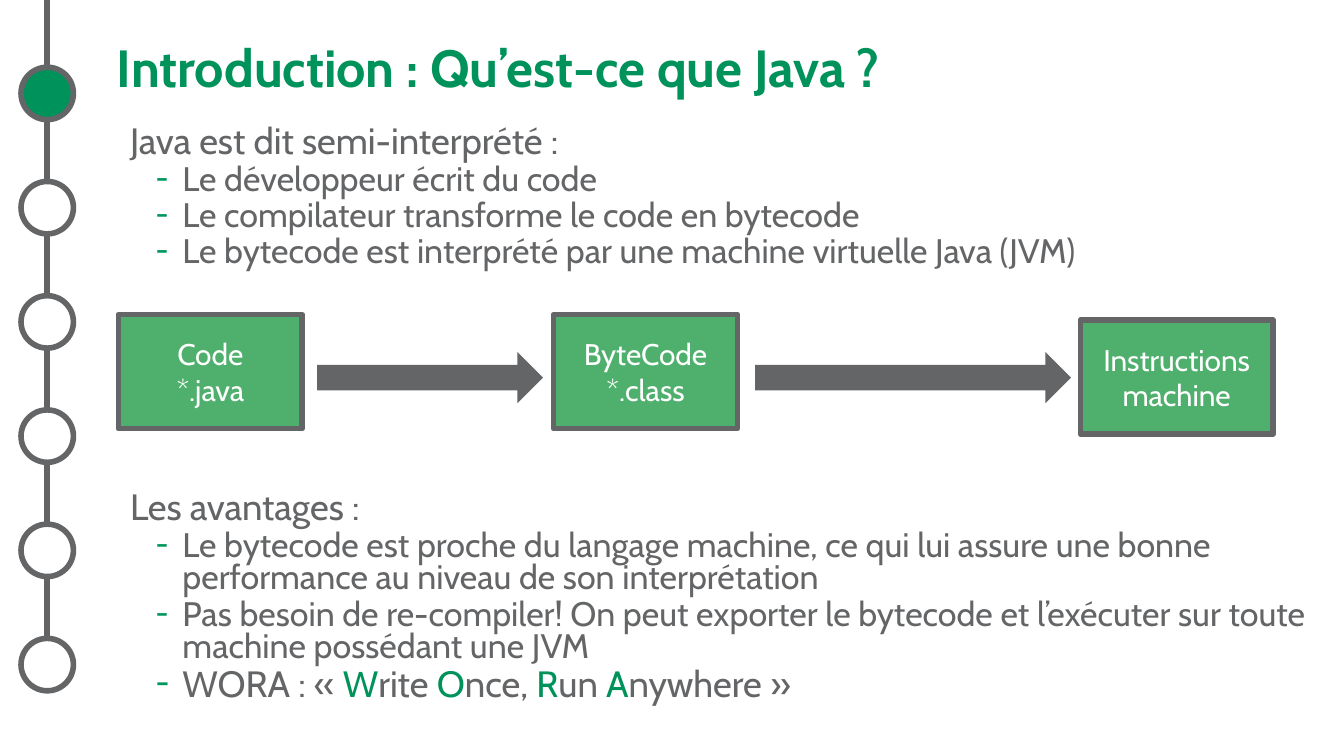
from dataclasses import dataclass

from lxml.etree import SubElement
from pptx import Presentation
from pptx.dml.color import RGBColor
from pptx.enum.shapes import MSO_CONNECTOR, MSO_SHAPE
from pptx.enum.text import MSO_ANCHOR, PP_ALIGN
from pptx.oxml.ns import qn
from pptx.util import Pt

FONT = "Cabin"
COLORS = {
    "accent": "00925B",
    "bullet": "00975F",
    "box": "4FAF6C",
    "gray": "646567",
    "rail": "626365",
    "white": "FFFFFF",
}


@dataclass
class Stage:
    """A labelled box of the compilation chain."""
    left: float
    top: float
    width: float
    lines: list[str]


@dataclass
class Arrow:
    """A block arrow between two stages."""
    left: float
    width: float


@dataclass
class Section:
    """A heading with its bullet points, given as (text, size)."""
    top: float
    height: float
    heading: str
    points: list[tuple[str, float]]


STAGES = [
    Stage(63.4, 168.5, 98.6, ["Code", "*.java"]),
    Stage(296.6, 168.5, 98.6, ["ByteCode", "*.class"]),
    Stage(578.9, 171.4, 103, ["Instructions machine"]),
]
ARROWS = [Arrow(169.9, 121), Arrow(404.6, 169.2)]
SECTIONS = [
    Section(64.1, 90, "Java est dit semi-interprété :", [
        ("Le développeur écrit du code", 18.2),
        ("Le compilateur transforme le code en bytecode", 18.2),
        ("Le bytecode est interprété par une machine virtuelle Java (JVM)", 18.2),
    ]),
    Section(260.2, 129, "Les avantages :", [
        ("Le bytecode est proche du langage machine, ce qui lui assure une bonne "
         "performance au niveau de son interprétation", 18.2),
        ("Pas besoin de re-compiler! On peut exporter le bytecode et l’exécuter "
         "sur toute machine possédant une JVM", 18.2),
        ("WORA : « |W|rite |O|nce, |R|un |A|nywhere »", 19.6),
    ]),
]


def rgb(name: str) -> RGBColor:
    """Return a palette colour."""
    return RGBColor.from_string(COLORS[name])


def add_bullet(p) -> None:
    """Give a paragraph a hanging dash bullet."""
    pPr = p._p.get_or_add_pPr()
    pPr.set("lvl", "1")
    pPr.set("marL", str(Pt(28.1)))
    pPr.set("indent", str(Pt(-14.4)))
    clr = SubElement(pPr, qn("a:buClr"))
    SubElement(clr, qn("a:srgbClr"), val=COLORS["bullet"])
    SubElement(pPr, qn("a:buSzPct"), val="90000")
    SubElement(pPr, qn("a:buFont"), typeface=FONT)
    SubElement(pPr, qn("a:buChar"), char="-")


def add_text(tf, text: str, *, size: float, color: str = "gray", bold: bool = False,
             align=PP_ALIGN.LEFT, spacing: float = 1.0, before: float = 0,
             bullet: bool = False) -> None:
    """Append a paragraph, with every second part between bars in the accent colour."""
    p = tf.paragraphs[0] if not tf.text else tf.add_paragraph()
    if bullet:
        add_bullet(p)
    p.alignment = align
    p.line_spacing = spacing
    p.space_before = Pt(before)
    for i, part in enumerate(text.split("|")):
        r = p.add_run()
        r.text = part
        r.font.name = FONT
        r.font.size = Pt(size)
        r.font.bold = bold
        r.font.color.rgb = rgb("accent" if i % 2 else color)


def add_box(s, left: float, top: float, width: float, height: float):
    """Add a wrapping text box and return its text frame."""
    sp = s.shapes.add_textbox(Pt(left), Pt(top), Pt(width), Pt(height))
    sp.text_frame.word_wrap = True
    return sp.text_frame


def add_shape(s, kind, left: float, top: float, width: float, height: float,
              fill: str, line: str | None = None):
    """Add a filled preset shape, outlined when a line colour is given."""
    sp = s.shapes.add_shape(kind, Pt(left), Pt(top), Pt(width), Pt(height))
    sp.shadow.inherit = False
    sp.fill.solid()
    sp.fill.fore_color.rgb = rgb(fill)
    if line:
        sp.line.color.rgb = rgb(line)
        sp.line.width = Pt(3)
    else:
        sp.line.fill.background()
    return sp


def add_title(s, text: str) -> None:
    """Add the slide title."""
    tf = add_box(s, 62.6, 14.4, 630.7, 42.5)
    tf.margin_left = tf.margin_right = tf.margin_top = tf.margin_bottom = 0
    tf.vertical_anchor = MSO_ANCHOR.MIDDLE
    add_text(tf, text, size=28, color="accent", bold=True)


def add_section(s, section: Section) -> None:
    """Add a heading and its bullet points."""
    tf = add_box(s, 62.6, section.top, 646.6, section.height)
    add_text(tf, section.heading, size=19.6, spacing=0.8)
    for text, size in section.points:
        add_text(tf, text, size=size, spacing=0.8, before=2, bullet=True)


def add_stage(s, stage: Stage) -> None:
    """Add a box of the compilation chain."""
    sp = add_shape(s, MSO_SHAPE.RECTANGLE, stage.left, stage.top, stage.width, 61.2,
                   "box", "gray")
    tf = sp.text_frame
    tf.word_wrap = True
    tf.vertical_anchor = MSO_ANCHOR.MIDDLE
    tf.margin_left = tf.margin_right = tf.margin_top = tf.margin_bottom = Pt(7.2)
    for line in stage.lines:
        add_text(tf, line, size=16, color="white", align=PP_ALIGN.CENTER)


def add_progress(s, steps: int, current: int) -> None:
    """Add the vertical rail with one circle per step."""
    size, center, first, pitch = 28.1, 25.3, 36, 61.2
    end = first + (steps - 1) * pitch + size / 2
    rail = s.shapes.add_connector(MSO_CONNECTOR.STRAIGHT, Pt(center), Pt(0),
                                  Pt(center), Pt(end))
    rail.line.color.rgb = rgb("rail")
    rail.line.width = Pt(3)
    SubElement(rail._element.spPr, qn("a:effectLst"))
    for i in range(steps):
        add_shape(s, MSO_SHAPE.OVAL, center - size / 2, first + i * pitch, size, size,
                  "accent" if i == current else "white", "gray")


def main() -> None:
    """Build the slide and save it."""
    prs = Presentation()
    prs.slide_width, prs.slide_height = Pt(720), Pt(405)
    s = prs.slides.add_slide(prs.slide_layouts[6])
    add_title(s, "Introduction : Qu’est-ce que Java ?")
    for section in SECTIONS:
        add_section(s, section)
    for stage in STAGES:
        add_stage(s, stage)
    for arrow in ARROWS:
        add_shape(s, MSO_SHAPE.RIGHT_ARROW, arrow.left, 188.6, arrow.width, 27.4, "gray")
    add_progress(s, steps=6, current=0)
    prs.save("out.pptx")


if __name__ == "__main__":
    main()
